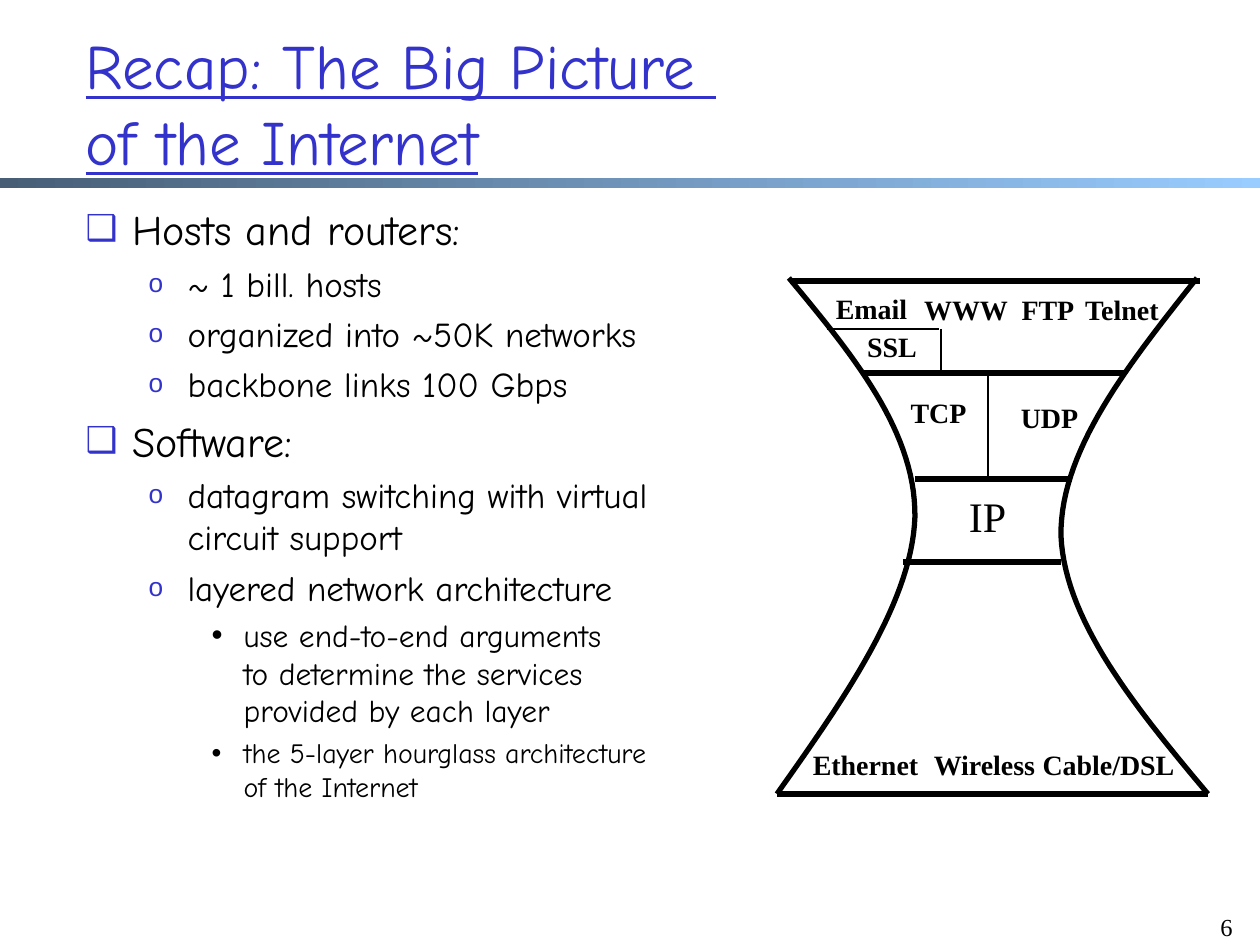
from copy import deepcopy

from lxml import etree
from pptx import Presentation
from pptx.dml.color import RGBColor
from pptx.enum.shapes import MSO_CONNECTOR, MSO_SHAPE
from pptx.enum.text import MSO_ANCHOR, MSO_AUTO_SIZE, PP_ALIGN
from pptx.oxml.ns import qn
from pptx.util import Pt

SCALE = 914400 / 126  # EMU per px
LEFT, CENTER, RIGHT = PP_ALIGN.LEFT, PP_ALIGN.CENTER, PP_ALIGN.RIGHT
TOP, MIDDLE = MSO_ANCHOR.TOP, MSO_ANCHOR.MIDDLE
NO_AUTOFIT = MSO_AUTO_SIZE.NONE
RECTANGLE, STRAIGHT = MSO_SHAPE.RECTANGLE, MSO_CONNECTOR.STRAIGHT
COLORS = {"ink": "000000", "accent": "3333CC", "bar_dark": "475E76", "bar_light": "99CCFF"}
HEADING_FONT, LABEL_FONT = "Comic Neue", "Times New Roman"
THICK, THIN = 3, 1
CURVE_STEPS = 30

# Per list level: indent and hanging in px, bullet, bullet size in %, bullet colour
LEVELS = [
    (47, 47, "❑", 85, "accent"),
    (102, 39, "o", 75, "accent"),
    (158, 32, "•", 100, "ink"),
]
# Level, size, text
BODY = [
    (0, 24, "Hosts and routers:"),
    (1, 20, "~ 1 bill. hosts"),
    (1, 20, "organized into ~50K networks"),
    (1, 20, "backbone links 100 Gbps"),
    (0, 24, "Software:"),
    (1, 20, "datagram switching with virtual\ncircuit support"),
    (1, 20, "layered network architecture"),
    (2, 18, "use end-to-end arguments \nto determine the services\nprovided by each layer"),
    (2, 16, "the 5-layer hourglass architecture \nof the Internet"),
]
# Start point, then groups of two control points and an end point
HOURGLASS_SIDES = [
    [(789, 278), (852, 354), (916, 431), (915, 517), (912, 602), (845, 698), (777, 794)],
    [(1197, 278), (1129, 364), (1060, 450), (1061, 536), (1065, 621), (1135, 707), (1208, 794)],
]
# Start, end, weight
LAYER_LINES = [
    (790, 281, 1200, 281, THICK),
    (862, 373, 1124, 373, THICK),
    (915, 479, 1072, 479, THICK),
    (903, 562, 1061, 562, THICK),
    (777, 794, 1208, 794, THICK),
    (988, 373, 988, 479, THIN),
    (827, 329, 939, 329, THIN),
    (941, 329, 941, 372, THIN),
]
# Left, top, width, text
PROTOCOLS = [
    (823, 285, 97, "Email"),
    (911, 286, 110, "WWW"),
    (1009, 286, 78, "FTP"),
    (1071, 286, 102, "Telnet"),
    (854, 323, 76, "SSL"),
    (898, 389, 81, "TCP"),
    (1008, 394, 83, "UDP"),
    (800, 741, 131, "Ethernet"),
    (920, 741, 129, "Wireless"),
    (1029, 741, 159, "Cable/DSL"),
]


def px(*lengths):
    return [round(length * SCALE) for length in lengths]


def rgb(name):
    return RGBColor.from_string(COLORS[name])


def write_text(paragraph, text, size=16, font=LABEL_FONT, color="ink",
               bold=False, underline=False, align=LEFT):
    paragraph.alignment = align
    for index, line in enumerate(text.split("\n")):
        if index:
            paragraph.add_line_break()
        run = paragraph.add_run()
        run.text = line
        run.font.size, run.font.name = Pt(size), font
        run.font.bold, run.font.underline = bold, underline
        run.font.color.rgb = rgb(color)
    for line_break in paragraph._p.findall(qn("a:br")):
        line_break.append(deepcopy(run._r.rPr))


def set_bullet(paragraph, level):
    indent, hanging, character, percent, color = LEVELS[level]
    paragraph.level = level
    properties = paragraph._p.get_or_add_pPr()
    margin, offset = px(indent, -hanging)
    properties.set("marL", str(margin))
    properties.set("indent", str(offset))
    bullet_color = etree.SubElement(properties, qn("a:buClr"))
    etree.SubElement(bullet_color, qn("a:srgbClr"), val=COLORS[color])
    etree.SubElement(properties, qn("a:buSzPct"), val=str(percent * 1000))
    etree.SubElement(properties, qn("a:buChar"), char=character)


def bezier_points(start, first, second, end):
    for step in range(1, CURVE_STEPS + 1):
        t = step / CURVE_STEPS
        weights = ((1 - t) ** 3, 3 * t * (1 - t) ** 2, 3 * t * t * (1 - t), t ** 3)
        points = (start, first, second, end)
        yield px(*(sum(w * p[axis] for w, p in zip(weights, points)) for axis in (0, 1)))


class SlideBuilder:
    def __init__(self, slide):
        self.slide = slide
        self.shapes = slide.shapes

    def place(self, placeholder, left, top, width, height, anchor):
        placeholder.left, placeholder.top, placeholder.width, placeholder.height = px(
            left, top, width, height)
        frame = placeholder.text_frame
        frame.auto_size, frame.vertical_anchor = NO_AUTOFIT, anchor
        return frame

    def title(self, text):
        frame = self.place(self.shapes.title, 73, 24, 1129, 157, MIDDLE)
        write_text(frame.paragraphs[0], text, size=36, font=HEADING_FONT,
                   color="accent", underline=True)

    def body(self, items):
        frame = self.place(self.slide.placeholders[1], 73, 197, 1121, 698, TOP)
        for index, (level, size, text) in enumerate(items):
            paragraph = frame.add_paragraph() if index else frame.paragraphs[0]
            paragraph.space_before = Pt(round(size * 0.24, 1) if index else 0)
            set_bullet(paragraph, level)
            write_text(paragraph, text, size=size, font=HEADING_FONT)

    def gradient_bar(self, left, top, width, height):
        bar = self.shapes.add_shape(RECTANGLE, *px(left, top, width, height))
        bar.shadow.inherit = False
        bar.line.fill.background()
        bar.fill.gradient()
        bar.fill.gradient_angle = 0
        for stop, position, color in zip(bar.fill.gradient_stops, (0, 1), ("bar_dark", "bar_light")):
            stop.position, stop.color.rgb = position, rgb(color)

    def label(self, left, top, width, height, text, **text_format):
        box = self.shapes.add_textbox(*px(left, top, width, height))
        box.text_frame.word_wrap = False
        write_text(box.text_frame.paragraphs[0], text, **text_format)

    def line(self, x1, y1, x2, y2, weight):
        connector = self.shapes.add_connector(STRAIGHT, *px(x1, y1, x2, y2))
        connector.line.width, connector.line.color.rgb = Pt(weight), rgb("ink")
        etree.SubElement(connector._element.spPr, qn("a:effectLst"))

    def curve(self, points, weight):
        builder = self.shapes.build_freeform(*px(*points[0]))
        for index in range(0, len(points) - 1, 3):
            builder.add_line_segments(bezier_points(*points[index:index + 4]), close=False)
        outline = builder.convert_to_shape()
        outline.shadow.inherit = False
        outline.fill.background()
        outline.line.width, outline.line.color.rgb = Pt(weight), rgb("ink")


def main():
    presentation = Presentation()
    presentation.slide_width, presentation.slide_height = px(1260, 945)
    builder = SlideBuilder(presentation.slides.add_slide(presentation.slide_layouts[1]))

    builder.gradient_bar(0, 178, 1260, 10)
    builder.title("Recap: The Big Picture \nof the Internet")
    builder.body(BODY)
    for side in HOURGLASS_SIDES:
        builder.curve(side, THICK)
    for layer_line in LAYER_LINES:
        builder.line(*layer_line)
    for left, top, width, name in PROTOCOLS:
        builder.label(left, top, width, 47, name, bold=True, align=CENTER)
    builder.label(956, 484, 63, 63, "IP", size=24, align=CENTER)
    builder.label(1182, 906, 63, 39, "6", size=14, align=RIGHT)

    presentation.save("out.pptx")


if __name__ == "__main__":
    main()
